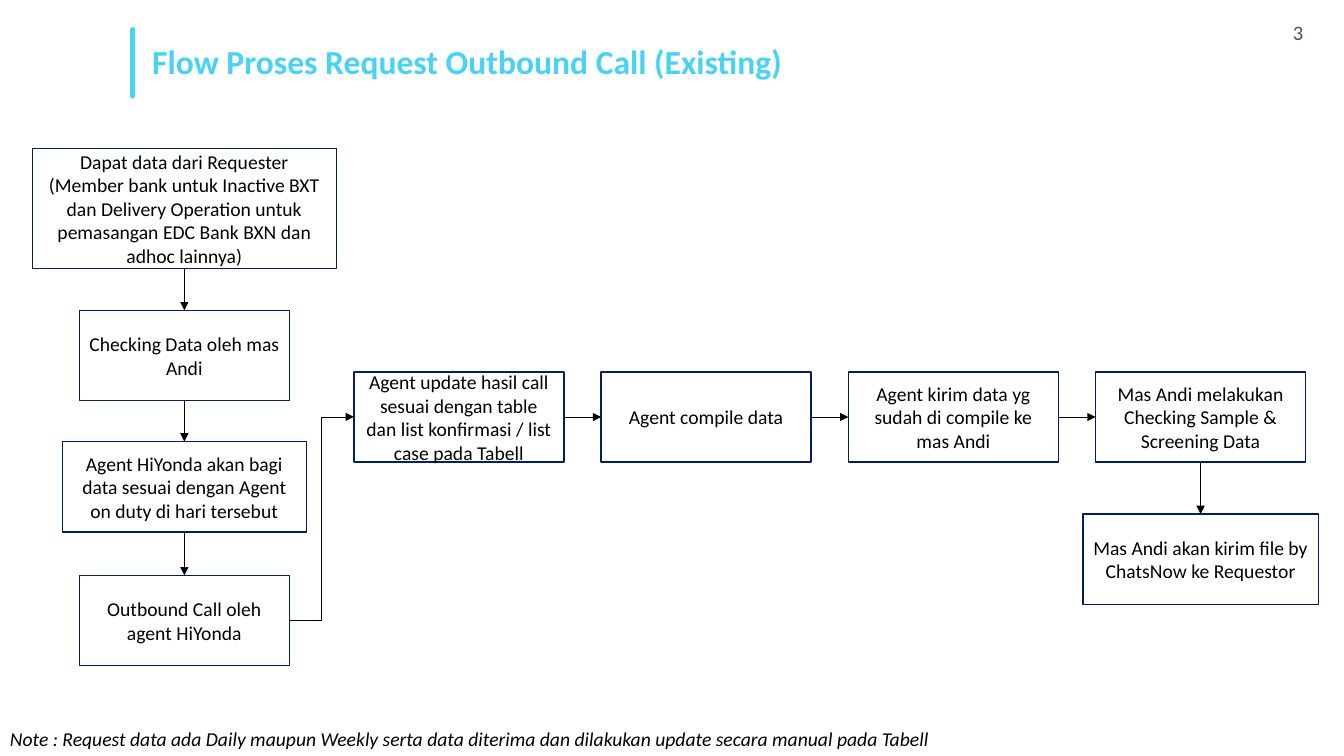
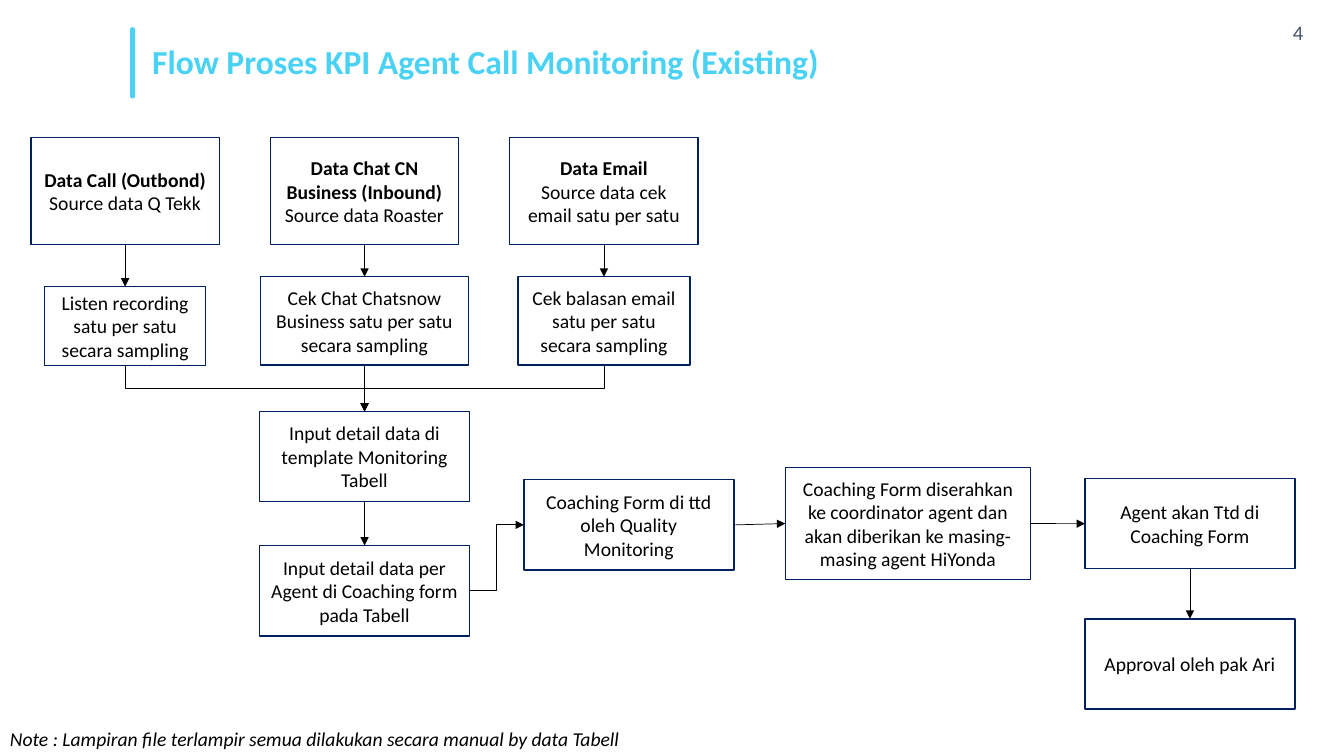
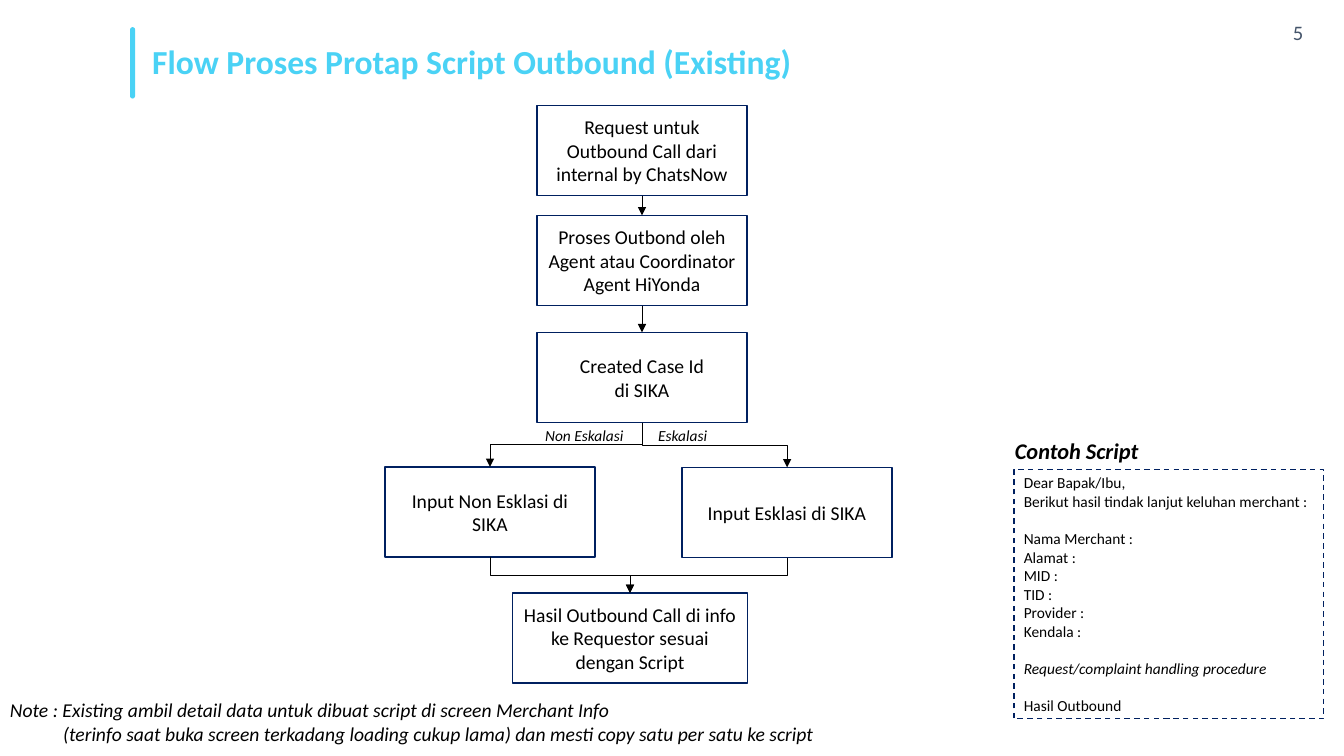
from pptx import Presentation
from pptx.dml.color import RGBColor
from pptx.enum.dml import MSO_LINE_DASH_STYLE as Dash
from pptx.enum.shapes import MSO_CONNECTOR as Link, MSO_SHAPE as Preset
from pptx.enum.text import MSO_ANCHOR as Anchor, MSO_AUTO_SIZE as AutoSize, PP_ALIGN as Align
from pptx.oxml.ns import qn
from pptx.util import Pt
from lxml.etree import SubElement

COLORS = {
    "accent": "4AD2F5",
    "number": "44546A",
    "border": "002060",
    "paper": "FFFFFF",
    "ink": "000000",
}
FONT = "Calibri"
TOP, LEFT, BOTTOM, RIGHT = range(4)
STEP_W, STEP_H = 150, 64.5
ITALIC = {"italic": True}
BOLD = {"bold": True}
GAP = {"space_before": Pt(13.4)}


def rgb(name):
    return RGBColor.from_string(COLORS[name])


def apply(target, values):
    for name, value in values.items():
        setattr(target, name, value)


def place(part, left, top, width, height):
    apply(part, {"left": Pt(left), "top": Pt(top), "width": Pt(width), "height": Pt(height)})


def write(frame, lines, size, color="ink", font=None, layout=None):
    apply(frame, {"word_wrap": True, "auto_size": AutoSize.NONE})
    for index, line in enumerate(lines):
        words, own_font, own_layout = line if isinstance(line, tuple) else (line, {}, {})
        paragraph = frame.paragraphs[0] if index == 0 else frame.add_paragraph()
        apply(paragraph, {**(layout or {}), **own_layout})
        run = paragraph.add_run()
        run.text = words
        apply(run.font, {"name": FONT, "size": Pt(size), **(font or {}), **own_font})
        run.font.color.rgb = rgb(color)


def label(slide, box, lines, size, color="ink", font=None, layout=None):
    frame = slide.shapes.add_textbox(*map(Pt, box)).text_frame
    write(frame, lines, size, color, font, layout)
    return frame


def panel(slide, box, lines, size, align):
    shape = slide.shapes.add_shape(Preset.RECTANGLE, *map(Pt, box))
    shape.shadow.inherit = False
    shape.fill.solid()
    shape.fill.fore_color.rgb = rgb("paper")
    shape.line.color.rgb = rgb("border")
    shape.line.width = Pt(1)
    shape.text_frame.vertical_anchor = Anchor.MIDDLE
    write(shape.text_frame, lines, size, layout={"alignment": align})
    return shape


def step(slide, origin, center, top, *lines, width=STEP_W, height=STEP_H):
    box = (origin[0] + center - width / 2, origin[1] + top, width, height)
    return panel(slide, box, lines, 14, Align.CENTER)


def arrow(slide, source, target, leave=BOTTOM, enter=TOP, kind=Link.STRAIGHT):
    connector = slide.shapes.add_connector(kind, 0, 0, 0, 0)
    connector.begin_connect(source, leave)
    connector.end_connect(target, enter)
    if kind == Link.ELBOW and leave == BOTTOM:
        turn_downward(connector)
    connector.line.color.rgb = rgb("ink")
    connector.line.width = Pt(0.5)
    outline = connector.element.spPr
    SubElement(outline.find(qn("a:ln")), qn("a:tailEnd"), type="triangle")
    SubElement(outline, qn("a:effectLst"))


def turn_downward(connector):
    start_x, start_y = connector.begin_x, connector.begin_y
    across, down = connector.end_x - start_x, connector.end_y - start_y
    middle_x, middle_y = start_x + across // 2, start_y + down // 2
    apply(connector, {
        "left": middle_x - down // 2,
        "top": middle_y - abs(across) // 2,
        "width": down,
        "height": abs(across),
    })
    rightward = across > 0
    frame = connector.element.spPr.find(qn("a:xfrm"))
    for name, value in {
        "rot": "16200000" if rightward else "5400000",
        "flipH": "1" if rightward else "0",
        "flipV": "0",
    }.items():
        frame.set(name, value)


def chain(slide, steps, leave=BOTTOM, enter=TOP):
    for source, target in zip(steps, steps[1:]):
        arrow(slide, source, target, leave, enter)


def add_accent_bar(slide, layout):
    bar = slide.shapes.add_shape(Preset.ROUNDED_RECTANGLE, Pt(92.9), Pt(19.4), Pt(3.6), Pt(51))
    bar.adjustments[0] = 0.5
    bar.shadow.inherit = False
    bar.fill.solid()
    bar.fill.fore_color.rgb = rgb("accent")
    bar.line.fill.background()
    layout.element.cSld.spTree.append(bar.element)


def header(slide, title, number):
    heading = slide.shapes.title
    place(heading, 101.5, 33.8, 688.3, 28)
    heading.text_frame.vertical_anchor = Anchor.BOTTOM
    write(heading.text_frame, [title], 24, "accent", BOLD,
          {"alignment": Align.LEFT, "line_spacing": 0.9})
    label(slide, (810.7, 10.8, 127.4, 13.7), [str(number)], 14.7, "number",
          layout={"alignment": Align.RIGHT})


def note(slide, top, width, *lines):
    frame = label(slide, (0, top, width, 24.3 if len(lines) == 1 else 41), lines, 14, font=ITALIC)
    for paragraph in frame.paragraphs[1:]:
        paragraph._p.get_or_add_pPr().set("marL", str(Pt(38)))


def request_flow(slide, origin):
    column = [
        step(slide, origin, 108.5, 0,
             "Dapat data dari Requester (Member bank untuk Inactive BXT dan Delivery Operation "
             "untuk pemasangan EDC Bank BXN dan adhoc lainnya)", width=217, height=85.7),
        step(slide, origin, 108.5, 115.8, "Checking Data oleh mas Andi"),
        step(slide, origin, 108.5, 209.4,
             "Agent HiYonda akan bagi data sesuai dengan Agent on duty di hari tersebut",
             width=174.4),
        step(slide, origin, 108.5, 305, "Outbound Call oleh agent HiYonda"),
    ]
    row_texts = [
        "Agent update hasil call sesuai dengan table dan list konfirmasi / list case pada Tabell",
        "Agent compile data",
        "Agent kirim data yg sudah di compile ke mas Andi",
        "Mas Andi melakukan Checking Sample & Screening Data",
    ]
    row = [step(slide, origin, 304.6 + 176.6 * index, 159.6, words)
           for index, words in enumerate(row_texts)]
    delivery = step(slide, origin, 834.4, 261.2,
                    "Mas Andi akan kirim file by ChatsNow ke Requestor", width=168)
    chain(slide, column)
    arrow(slide, column[-1], row[0], RIGHT, LEFT, Link.ELBOW)
    chain(slide, row, RIGHT, LEFT)
    arrow(slide, row[-1], delivery)


def monitoring_flow(slide, origin):
    channels = [
        (("Data Call (Outbond)", "Source data Q Tekk"),
         "Listen recording satu per satu secara sampling", 115, 56.2),
        (("Data Chat CN Business (Inbound)", "Source data Roaster"),
         "Cek Chat Chatsnow Business satu per satu secara sampling", 149, 63.2),
        (("Data Email", "Source data cek email satu per satu"),
         "Cek balasan email satu per satu secara sampling", 123, 63.2),
    ]
    checks = []
    for index, ((name, origin_text), check_text, width, height) in enumerate(channels):
        center = 67.2 + 171 * index
        source = step(slide, origin, center, 0, (name, BOLD, {}), origin_text,
                      width=134.6, height=76.4)
        check = step(slide, origin, center, 162.5 - height, check_text,
                     width=width, height=height)
        arrow(slide, source, check)
        checks.append(check)
    template = step(slide, origin, 238.2, 195.5, "Input detail data di template Monitoring Tabell")
    form = step(slide, origin, 238.2, 291.3,
                "Input detail data per Agent di Coaching form", "pada Tabell")
    signing = [
        step(slide, origin, 427, 244.3, "Coaching Form di ttd oleh Quality Monitoring"),
        step(slide, origin, 626.4, 235.5,
             "Coaching Form diserahkan ke coordinator agent dan akan diberikan ke "
             "masing-masing agent HiYonda", width=175.4, height=80.2),
        step(slide, origin, 827.8, 243.4, "Agent akan Ttd di Coaching Form"),
    ]
    approval = step(slide, origin, 827.8, 343.6, "Approval oleh pak Ari")
    for check, kind in zip(checks, (Link.ELBOW, Link.STRAIGHT, Link.ELBOW)):
        arrow(slide, check, template, kind=kind)
    arrow(slide, template, form)
    arrow(slide, form, signing[0], RIGHT, LEFT, Link.ELBOW)
    chain(slide, signing, RIGHT, LEFT)
    arrow(slide, signing[-1], approval)


def script_flow(slide, origin):
    left, top = origin
    intake = [
        step(slide, origin, 183.6, 0, "Request untuk Outbound Call dari internal by ChatsNow"),
        step(slide, origin, 183.6, 78.6,
             "Proses Outbond oleh Agent atau Coordinator Agent HiYonda"),
        step(slide, origin, 183.6, 162.1, "Created Case Id", "di SIKA"),
    ]
    branches = [
        step(slide, origin, 75, 258.2, "Input Non Esklasi di SIKA"),
        step(slide, origin, 287.2, 258.6, "Input Esklasi di SIKA"),
    ]
    result = step(slide, origin, 175, 348.2,
                  "Hasil Outbound Call di info ke Requestor sesuai dengan Script", width=168)
    chain(slide, intake)
    for branch in branches:
        arrow(slide, intake[-1], branch, kind=Link.ELBOW)
        arrow(slide, branch, result, kind=Link.ELBOW)
    for offset, words in ((107.3, "Non Eskalasi"), (188, "Eskalasi")):
        label(slide, (left + offset, top + 225.6, 73, 20.6), [words], 11, font=ITALIC)


def script_sample(slide, box):
    left, top, width, height = box
    label(slide, (left - 6.3, top - 26.6, 124, 26.6), ["Contoh Script"], 16,
          font={**BOLD, **ITALIC})
    sample = panel(slide, box, [
        "Dear Bapak/Ibu,",
        "Berikut hasil tindak lanjut keluhan merchant :",
        ("Nama Merchant :", {}, GAP),
        "Alamat :",
        "MID :",
        "TID :",
        "Provider :",
        "Kendala :",
        ("Request/complaint handling procedure", ITALIC, GAP),
        ("Hasil Outbound", {}, GAP),
    ], 11, Align.LEFT)
    sample.line.dash_style = Dash.DASH


def request_slide(slide):
    request_flow(slide, (23.2, 106))
    note(slide, 515.5, 677,
         "Note : Request data ada Daily maupun Weekly serta data diterima dan dilakukan "
         "update secara manual pada Tabell")


def monitoring_slide(slide):
    monitoring_flow(slide, (22.2, 98.4))
    note(slide, 515.5, 515,
         "Note : Lampiran file terlampir semua dilakukan secara manual by data Tabell")


def script_slide(slide):
    script_flow(slide, (275, 75.3))
    script_sample(slide, (724.2, 335.4, 221.4, 178))
    note(slide, 495.2, 593,
         "Note : Existing ambil detail data untuk dibuat script di screen Merchant Info",
         "(terinfo saat buka screen terkadang loading cukup lama) dan mesti copy satu per satu "
         "ke script")


def main():
    deck = Presentation()
    apply(deck, {"slide_width": Pt(960), "slide_height": Pt(540)})
    layout = deck.slide_layouts[5]
    pages = [
        ("Flow Proses Request Outbound Call (Existing)", request_slide),
        ("Flow Proses KPI Agent Call Monitoring (Existing)", monitoring_slide),
        ("Flow Proses Protap Script Outbound (Existing)", script_slide),
    ]
    for number, (title, fill_page) in enumerate(pages, 3):
        slide = deck.slides.add_slide(layout)
        if number == 3:
            add_accent_bar(slide, layout)
        header(slide, title, number)
        fill_page(slide)
    deck.save("out.pptx")


if __name__ == "__main__":
    main()
